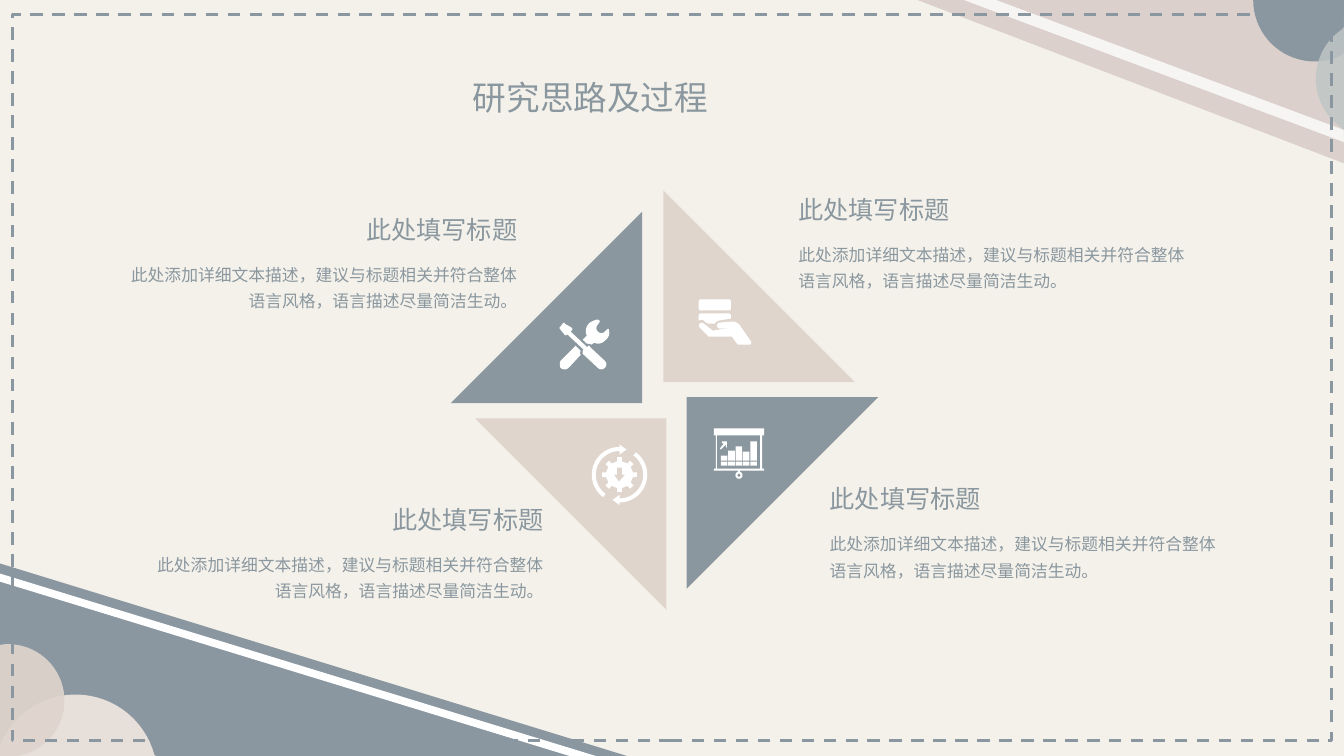
from math import cos, radians, sin

from lxml import etree
from pptx import Presentation
from pptx.dml.color import RGBColor
from pptx.enum.dml import MSO_LINE
from pptx.enum.shapes import MSO_SHAPE as SHAPE
from pptx.enum.text import MSO_ANCHOR as ANCHOR, MSO_AUTO_SIZE as AUTO_SIZE, PP_ALIGN as ALIGN
from pptx.oxml.ns import qn
from pptx.util import Pt

EMU_PER_PX = 9144  # 100 px to the inch
WIDTH, HEIGHT = 1333, 750
FONT = "Noto Sans CJK SC"
CREAM, WHITE, TEXT = "F4F1EB", "FFFFFF", "8A979E"
SLATE, ROSE, SAND = "8A96A0", "DBD0CB", "DFD5CD"

HEADING = "此处填写标题"
BODY = "此处添加详细文本描述，建议与标题相关并符合整体\n语言风格，语言描述尽量简洁生动。"

WRENCH_HANDLE = """
M 571 343 L 576 348 C 575 349 575 351 576 352 L 564 365 C 562 367 558 367 556 365
C 555 363 555 360 556 358 Z"""
SCREWDRIVER = """
M 559 320 C 560 320 560 320 560 321 L 567 325 C 568 326 568 327 567 328 L 566 329
L 582 344 L 583 344 C 583 343 584 343 584 343 C 585 343 585 343 585 344 L 600 358
C 602 360 602 363 600 365 C 598 367 595 367 593 365 L 578 351 C 578 350 578 349 578 348
L 579 347 L 563 332 L 562 332 C 562 333 561 333 560 332 L 555 326 C 555 325 555 324 556 324
L 558 321 C 559 321 559 320 559 320 Z"""
WRENCH_HEAD = """
M 592 317 C 593 317 594 317 594 318 C 595 318 595 318 595 319 L 593 322
C 591 324 591 327 593 329 C 595 331 598 331 600 329 L 602 327 C 603 326 604 326 604 327
C 605 331 604 335 601 337 C 598 341 593 342 589 340 L 587 342 C 586 341 583 341 582 341
L 578 337 L 582 333 C 580 329 581 324 584 321 C 586 319 589 318 592 317 Z"""

HAND = """
M 726 319 C 729 319 732 320 734 323 L 745 339 C 745 340 745 340 745 341
C 744 342 744 342 743 342 L 733 342 C 732 342 731 341 731 341 L 726 334 L 706 334
C 705 334 704 334 703 334 L 694 325 C 693 324 693 322 694 321 C 695 320 697 320 698 321
L 707 328 L 725 325 L 714 326 C 713 326 711 325 711 323 C 711 322 712 320 714 320 Z"""
BANKNOTES = """
M 695 311 L 723 311 C 724 311 725 312 725 313 L 725 316 L 713 318 C 711 318 710 320 709 321
L 702 321 L 699 319 C 698 317 695 317 693 318 L 693 313 C 693 312 694 311 695 311 Z
M 695 297 L 723 297 C 724 297 725 298 725 299 L 725 306 C 725 307 724 308 723 308
L 695 308 C 694 308 693 307 693 306 L 693 299 C 693 298 694 297 695 297 Z"""

TREND_ARROW = """M 716 438 L 721 438 L 721 444 L 720 444 L 720 441 L 715 446 L 714 445
L 718 440 L 716 440 Z"""
DOWN_ARROW = "M 612 464 L 617 464 L 617 471 L 620 471 L 614 478 L 609 471 L 612 471 Z"


def px(length):
    return round(length * EMU_PER_PX)


def color(code):
    return RGBColor.from_string(code)


def paint(shape, fill, alpha=100):
    shape.shadow.inherit = False
    shape.line.fill.background()
    shape.fill.solid()
    shape.fill.fore_color.rgb = color(fill)
    if alpha < 100:
        srgb = shape._element.spPr.find(".//" + qn("a:srgbClr"))
        etree.SubElement(srgb, qn("a:alpha"), val=str(alpha * 1000))


def add_preset(page, kind, left, top, width, height, fill):
    shape = page.shapes.add_shape(kind, px(left), px(top), px(width), px(height))
    paint(shape, fill)
    return shape


def add_outline(page, contours, fill, alpha=100):
    """Draw closed contours as one shape; inner contours become holes."""
    contours = [[(px(x), px(y)) for x, y in contour] for contour in contours]
    builder = page.shapes.build_freeform(*contours[0][0], scale=1.0)
    for index, contour in enumerate(contours):
        if index:
            builder.move_to(*contour[0])
        builder.add_line_segments(contour[1:], close=True)
    paint(builder.convert_to_shape(), fill, alpha)


def arc(x, y, radius, start=0, end=360, step=5):
    return [(x + radius * cos(radians(angle)), y + radius * sin(radians(angle)))
            for angle in range(start, end, step if end > start else -step)]


def rectangle(left, top, right, bottom):
    return [(left, top), (right, top), (right, bottom), (left, bottom)]


def trace(drawing):
    """Turn M, L and C commands into contours of points."""
    contours = []
    for part in drawing.split("Z")[:-1]:
        points, tokens = [], iter(part.split())
        for command in tokens:
            pairs = [(int(next(tokens)), int(next(tokens)))
                     for _ in range(3 if command == "C" else 1)]
            if command == "C":
                curve = [points[-1], *pairs]
                for t in (0.25, 0.5, 0.75, 1):
                    weights = ((1 - t) ** 3, 3 * t * (1 - t) ** 2, 3 * t * t * (1 - t), t ** 3)
                    points.append(tuple(sum(w * p[axis] for w, p in zip(weights, curve))
                                        for axis in (0, 1)))
            else:
                points += pairs
        contours.append(points)
    return contours


def add_corner_circle(page, x, y, radius, fill, alpha=100):
    """Draw a circle cut off at the slide edges."""
    points = [(min(max(a, 0), WIDTH), min(max(b, 0), HEIGHT)) for a, b in arc(x, y, radius)]
    add_outline(page, [points], fill, alpha)


def add_chart_icon(page):
    contours = [rectangle(708, 425, 758, 432), rectangle(710, 432, 711, 465),
                rectangle(754, 432, 756, 465), rectangle(708, 465, 758, 467),
                rectangle(732, 467, 734, 468), arc(733, 471.5, 3.5), arc(733, 471.5, 1.5)]
    for index, top in enumerate((452, 447, 443, 448, 438)):
        left = 715 + 7.3 * index
        contours += [rectangle(left, top, left + 6.5, 457),
                     rectangle(left, 458, left + 6.5, 462)]
    add_outline(page, contours + trace(TREND_ARROW), WHITE)


def add_gear_icon(page):
    x, y = 614.5, 471
    gear = []
    for tooth in range(0, 360, 45):
        for radius, turn in ((13.5, -10), (17.5, -8), (17.5, 8), (13.5, 10)):
            gear += arc(x, y, radius, tooth + turn, tooth + turn + 1)
    contours = [gear, *trace(DOWN_ARROW)]
    for turn, sign in ((0, 1), (180, -1)):
        head = [(x + sign * a, y + sign * b) for a, b in ((0, 30), (-7, 25), (0, 20))]
        contours.append(arc(x, y, 27.5, turn - 54, turn + 91, 4) + head
                        + arc(x, y, 23.5, turn + 90, turn - 55, 4))
    add_outline(page, contours, WHITE)


def fill_text(box, text, size, align, spacing=None):
    frame = box.text_frame
    frame.text = text
    frame.word_wrap = True
    frame.auto_size = AUTO_SIZE.SHAPE_TO_FIT_TEXT
    frame.vertical_anchor = ANCHOR.TOP
    for para in frame.paragraphs:
        para.alignment = align
        para.line_spacing = spacing
        for span in para.runs:
            span.font.size = Pt(size)
            span.font.name = FONT
            span.font.color.rgb = color(TEXT)
            etree.SubElement(span.font._element, qn("a:ea"), typeface=FONT)


def add_text(page, left, top, width, height, *style):
    box = page.shapes.add_textbox(px(left), px(top), px(width), px(height))
    fill_text(box, *style)


def add_item(page, left, top, align):
    add_text(page, left, top, 465, 60, BODY, 12, align, 1.3)
    heading_left = left + 282 if align == ALIGN.RIGHT else left
    add_text(page, heading_left, top - 44, 183, 40, HEADING, 18, align)


def add_backdrop(page):
    page.background.fill.solid()
    page.background.fill.fore_color.rgb = color(CREAM)
    add_outline(page, [[(910, 0), (WIDTH, 0), (WIDTH, 162)]], ROSE)
    add_outline(page, [[(956, 0), (988, 0), (WIDTH, 129), (WIDTH, 141)]], WHITE, 80)
    add_corner_circle(page, 1304, 0, 61, SLATE)
    add_corner_circle(page, 1364, 78, 59, "BFC6C6", 85)
    add_preset(page, SHAPE.RIGHT_TRIANGLE, 0, 559, 622, 191, SLATE)
    add_outline(page, [[(0, 569), (0, 577), (565, HEIGHT), (591, HEIGHT)]], WHITE)
    add_corner_circle(page, 75, 770, 81, "E7DFD9")
    add_corner_circle(page, 8, 695, 56, SAND, 91)
    border = add_preset(page, SHAPE.RECTANGLE, 12, 14, 1309, 721, CREAM)
    border.fill.background()
    border.line.color.rgb = color(SLATE)
    border.line.width = Pt(2.25)
    border.line.dash_style = MSO_LINE.DASH


def main():
    deck = Presentation()
    deck.slide_width, deck.slide_height = px(WIDTH), px(HEIGHT)
    page = deck.slides.add_slide(deck.slide_layouts[5])
    add_backdrop(page)
    title = page.shapes.title
    title.left, title.top, title.width, title.height = px(459), px(71), px(415), px(50)
    fill_text(title, "研究思路及过程", 24, ALIGN.JUSTIFY)
    for left, top, rotation, fill in ((447, 210, 270, TEXT), (471, 415, 180, SAND),
                                      (658, 189, 0, SAND), (681, 394, 90, TEXT)):
        blade = add_preset(page, SHAPE.RIGHT_TRIANGLE, left, top, 190, 190, fill)
        blade.rotation = rotation
    add_chart_icon(page)
    add_gear_icon(page)
    for icon in ((WRENCH_HANDLE, SCREWDRIVER, WRENCH_HEAD), (HAND, BANKNOTES)):
        add_outline(page, [contour for part in icon for contour in trace(part)], WHITE)
    for left, top, align in ((813, 519, ALIGN.LEFT), (782, 232, ALIGN.LEFT),
                             (84, 539, ALIGN.RIGHT), (58, 252, ALIGN.RIGHT)):
        add_item(page, left, top, align)
    deck.save("out.pptx")


if __name__ == "__main__":
    main()
